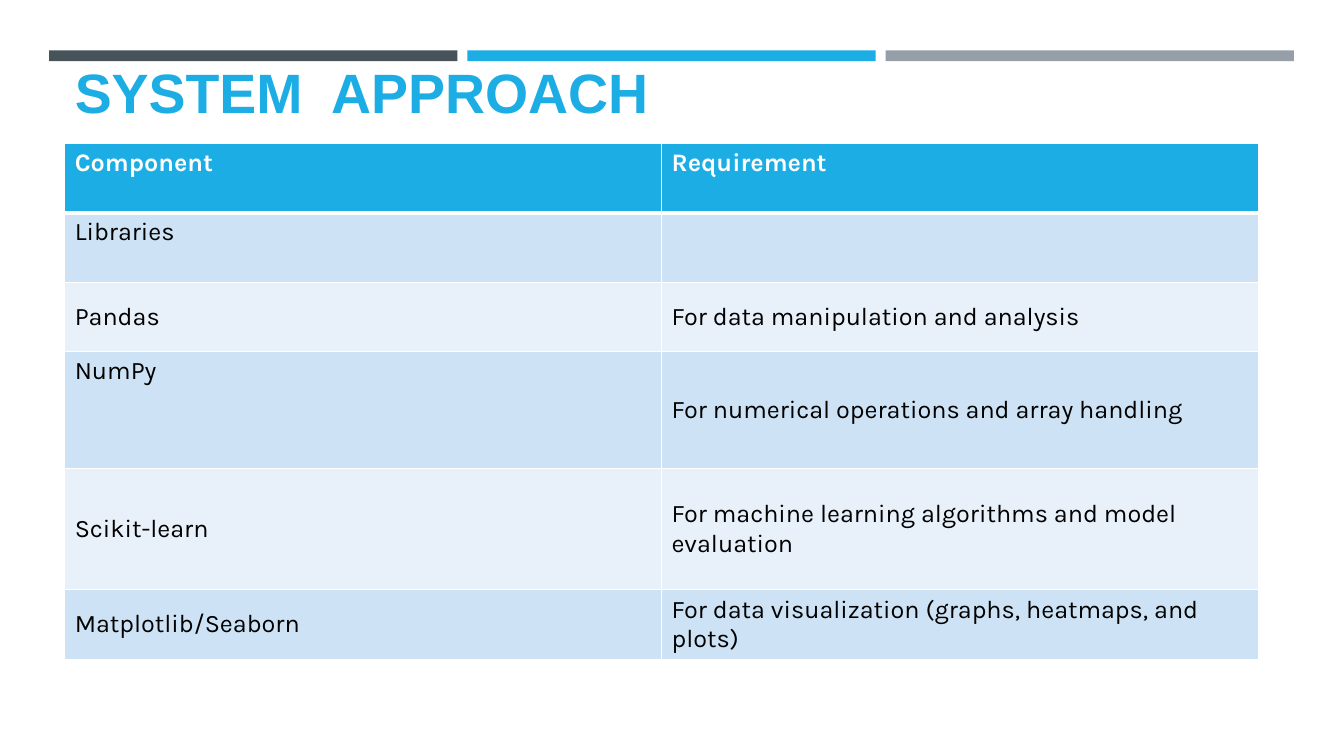
from dataclasses import dataclass
from lxml.etree import SubElement
from pptx import Presentation
from pptx.dml.color import RGBColor as Rgb
from pptx.enum.shapes import MSO_SHAPE as Kind
from pptx.enum.text import MSO_ANCHOR as Anchor, MSO_AUTO_SIZE as Auto, PP_ALIGN as Align
from pptx.oxml.ns import qn
from pptx.util import Cm, Pt


@dataclass(frozen=True)
class Theme:
    blue: str = "1CADE4"
    slate: str = "465359"
    gray: str = "969FA7"
    white: str = "FFFFFF"
    black: str = "000000"
    bands: tuple = ("CDE3F5", "E8F1FA")
    head: str = "Arial"
    body: str = "Karla"
    big: float = 39.6
    small: float = 18
    thin: float = 1
    thick: float = 3


class Page:
    def __init__(self, deck, theme):
        self.theme = theme
        self.slide = deck.slides.add_slide(deck.slide_layouts[5])

    def label(self, para, text, font, size, color, bold):
        run = para.add_run()
        run.text = text
        run.font.name = font
        run.font.size = Pt(size)
        run.font.bold = bold
        run.font.color.rgb = Rgb.from_string(color)

    def bar(self, left, top, width, height, color):
        bar = self.slide.shapes.add_shape(
            Kind.RECTANGLE, Cm(left), Cm(top), Cm(width), Cm(height))
        bar.shadow.inherit = False
        bar.fill.solid()
        bar.fill.fore_color.rgb = Rgb.from_string(color)
        bar.line.fill.background()

    def title(self, text, left, top, width, height):
        box = self.slide.shapes.title
        box.left, box.top = Cm(left), Cm(top)
        box.width, box.height = Cm(width), Cm(height)
        frame = box.text_frame
        frame.word_wrap = True
        frame.auto_size = Auto.NONE
        frame.vertical_anchor = Anchor.BOTTOM
        para = frame.paragraphs[0]
        para.alignment = Align.LEFT
        para.line_spacing = 0.9
        self.label(para, text, self.theme.head, self.theme.big, self.theme.blue, True)

    def edge(self, cell, top, base):
        props = cell._tc.get_or_add_tcPr()
        thin = self.theme.thin
        for side, size in (("L", thin), ("R", thin), ("T", top), ("B", base)):
            line = SubElement(props, qn(f"a:ln{side}"), w=str(Pt(size)))
            fill = SubElement(line, qn("a:solidFill"))
            SubElement(fill, qn("a:srgbClr"), val=self.theme.white)

    def table(self, rows, left, top, width):
        theme = self.theme
        count = len(rows[0][1])
        tall = sum(row[0] for row in rows)
        grid = self.slide.shapes.add_table(
            len(rows), count, Cm(left), Cm(top), Cm(width), Cm(tall)).table
        for col in grid.columns:
            col.width = Cm(width / count)
        for i, (height, texts, anchors) in enumerate(rows):
            grid.rows[i].height = Cm(height)
            first = i == 0
            shade = theme.blue if first else theme.bands[(i - 1) % 2]
            ink = theme.white if first else theme.black
            for j, (text, anchor) in enumerate(zip(texts, anchors)):
                cell = grid.cell(i, j)
                self.edge(cell, theme.thick if i == 1 else theme.thin,
                          theme.thick if first else theme.thin)
                cell.fill.solid()
                cell.fill.fore_color.rgb = Rgb.from_string(shade)
                cell.vertical_anchor = anchor
                if text:
                    para = cell.text_frame.paragraphs[0]
                    self.label(para, text, theme.body, theme.small, ink, first)


def main():
    deck = Presentation()
    deck.slide_width, deck.slide_height = Cm(33.87), Cm(19.05)
    theme = Theme()
    page = Page(deck, theme)
    for i, color in enumerate((theme.slate, theme.blue, theme.gray)):
        page.bar(1.24 + 10.54 * i, 1.27, 10.29, 0.27, color)
    page.title("SYSTEM  APPROACH", 1.63, 1.83, 30.63, 1.47)
    high, mid = Anchor.TOP, Anchor.MIDDLE
    rows = [
        (1.75, ("Component", "Requirement"), (high, high)),
        (1.75, ("Libraries", ""), (high, high)),
        (1.75, ("Pandas", "For data manipulation and analysis"), (mid, mid)),
        (2.95, ("NumPy", "For numerical operations and array handling"), (high, mid)),
        (3.05, ("Scikit-learn", "For machine learning algorithms and model evaluation"),
         (mid, mid)),
        (1.75, ("Matplotlib/Seaborn", "For data visualization (graphs, heatmaps, and plots)"),
         (mid, mid)),
    ]
    page.table(rows, 1.63, 3.61, 30.08)
    deck.save("out.pptx")


if __name__ == "__main__":
    main()
